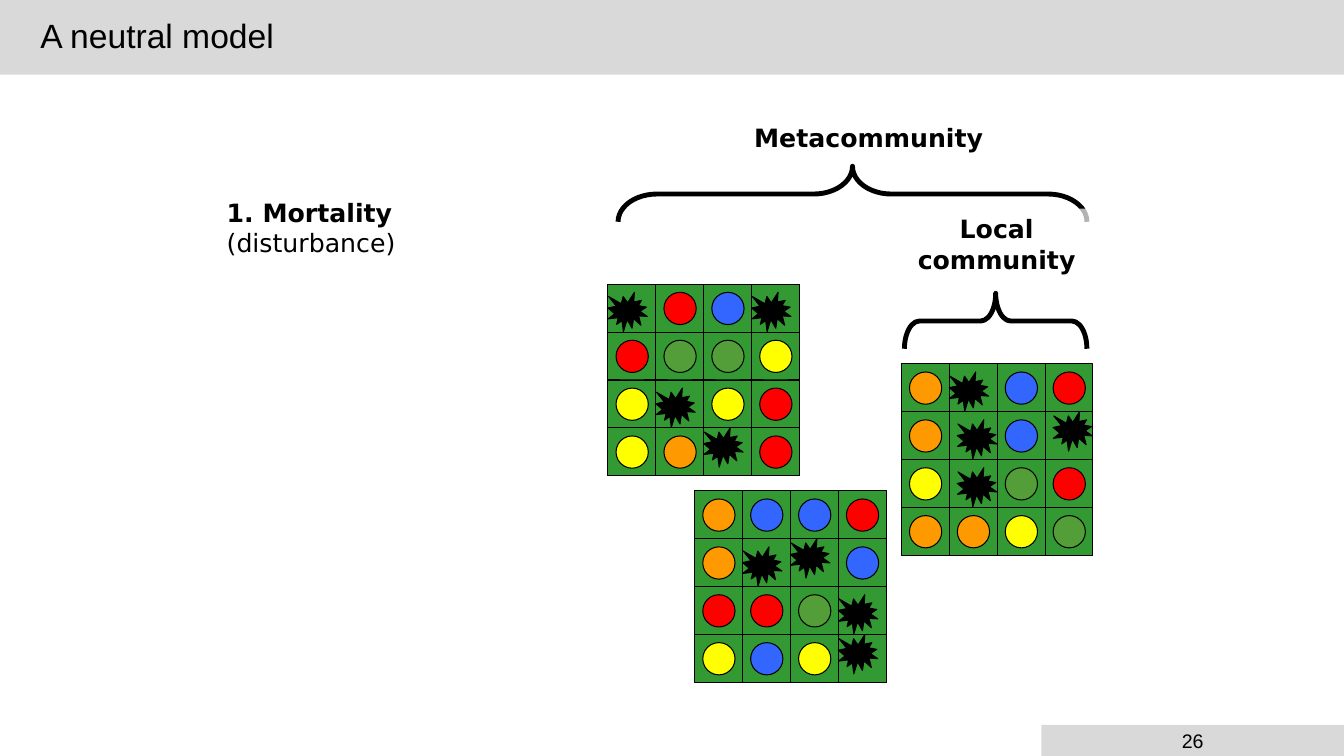
from lxml.etree import SubElement
from pptx import Presentation
from pptx.dml.color import RGBColor
from pptx.enum.shapes import MSO_SHAPE as Shape
from pptx.enum.text import MSO_ANCHOR as Anchor, PP_ALIGN as Align
from pptx.oxml.ns import qn
from pptx.util import Inches, Pt

COLORS = {
    "bar": "D9D9D9", "ink": "000000", "paper": "FFFFFF", "field": "339933",
    "R": "FF0000", "B": "3366FF", "G": "549E39", "Y": "FFFF00", "O": "FF9900",
}
PITCH = 1.9 / 4
CIRCLE, DEATH, MARGIN = 0.32, 0.39, 0.08

# Offsets of a death mark in its cell: low left, top left, low right, top right
DEATH_OFFSETS = {
    "l": (0, MARGIN), "t": (0, 0), "c": (MARGIN, MARGIN), "u": (MARGIN, 0),
}

# Left, top and rows; capitals are species, small letters are deaths
COMMUNITIES = [
    (6.03, 2.82, ["lRBl", "RGGY", "YlYR", "YOtR"]),
    (6.89, 4.87, ["OBBR", "OltB", "RRGl", "YBYt"]),
    (8.94, 3.61, ["OlBR", "OcBu", "YcGR", "OOYG"]),
]


def rgb(name):
    return RGBColor.from_string(COLORS[name])


class SlideBuilder:
    """Holds the slide and the style of its elements."""

    def __init__(self, deck):
        self.page = deck.slides.add_slide(deck.slide_layouts[5])

    def add_span(self, para, text, font, size, bold=False):
        span = para.add_run()
        span.text = text
        style = {"name": font, "size": Pt(size), "bold": bold}
        for key, value in style.items():
            setattr(span.font, key, value)
        span.font.color.rgb = rgb("ink")

    def shape(self, kind, left, top, width, height, fill=None, line=None):
        box = self.page.shapes.add_shape(
            kind, Inches(left), Inches(top), Inches(width), Inches(height))
        box.shadow.inherit = False
        if fill:
            box.fill.solid()
            box.fill.fore_color.rgb = rgb(fill)
        else:
            box.fill.background()
        if line:
            box.line.color.rgb = rgb("ink")
            box.line.width = Pt(line)
        else:
            box.line.fill.background()
        return box

    def title(self, text):
        box = self.page.shapes.title
        frame = {"left": 0, "top": 0, "width": 13.33, "height": 0.74}
        for key, value in frame.items():
            setattr(box, key, Inches(value))
        box.fill.solid()
        box.fill.fore_color.rgb = rgb("bar")
        box.text_frame.vertical_anchor = Anchor.MIDDLE
        para = box.text_frame.paragraphs[0]
        para.alignment, para.line_spacing = Align.LEFT, 0.9
        para._p.get_or_add_pPr().set("marL", str(Inches(0.3)))
        self.add_span(para, text, "Arial", 24)

    def page_number(self, text):
        box = self.shape(Shape.RECTANGLE, 10.33, 7.19, 3, 0.31, "bar")
        box.text_frame.vertical_anchor = Anchor.MIDDLE
        para = box.text_frame.paragraphs[0]
        para.alignment = Align.CENTER
        self.add_span(para, text, "Arial", 14)

    def brace(self, left, top, width, height, curve):
        box = self.shape(Shape.LEFT_BRACE, left, top, width, height, line=3.5)
        box.rotation = 90
        box.adjustments[0] = curve

    def label(self, left, top, width, height, align, *spans):
        box = self.page.shapes.add_textbox(
            Inches(left), Inches(top), Inches(width), Inches(height))
        box.text_frame.word_wrap = True
        # Translucent white ground
        box.fill.solid()
        box.fill.fore_color.rgb = rgb("paper")
        color = box._element.spPr.find(qn("a:solidFill"))[0]
        SubElement(color, qn("a:alpha"), val="70000")
        para = box.text_frame.paragraphs[0]
        para.alignment = align
        for text, bold in spans:
            self.add_span(para, text, "DejaVu Sans", 18, bold)

    def community(self, left, top, rows):
        for row, marks in enumerate(rows):
            for column, mark in enumerate(marks):
                x, y = left + column * PITCH, top + row * PITCH
                self.shape(Shape.RECTANGLE, x, y, PITCH, PITCH, "field", 0.75)
                if mark in DEATH_OFFSETS:
                    dx, dy = DEATH_OFFSETS[mark]
                    self.shape(Shape.EXPLOSION1, x + dx, y + dy,
                               DEATH, DEATH, "ink", 0.75)
                else:
                    self.shape(Shape.OVAL, x + MARGIN, y + MARGIN,
                               CIRCLE, CIRCLE, mark, 0.75)


def main():
    deck = Presentation()
    deck.slide_width, deck.slide_height = Inches(13.33), Inches(7.5)
    slide = SlideBuilder(deck)

    # Title bar and page number
    slide.title("A neutral model")
    slide.page_number("26")

    # Braces and their labels
    slide.brace(9.6, 2.28, 0.55, 1.81, 0.27)
    slide.brace(8.18, -0.4, 0.55, 4.65, 0.7)
    slide.label(8.76, 2.07, 2.25, 0.71, Align.CENTER, ("Local community", True))
    slide.label(6.99, 1.16, 2.86, 0.4, Align.RIGHT, ("Metacommunity", True))

    # Local communities
    for left, top, rows in COMMUNITIES:
        slide.community(left, top, rows)

    # Process shown
    slide.label(2.15, 1.91, 2.28, 0.7, Align.LEFT,
                ("1. Mortality ", True), ("(disturbance)", False))
    deck.save("out.pptx")


if __name__ == "__main__":
    main()
